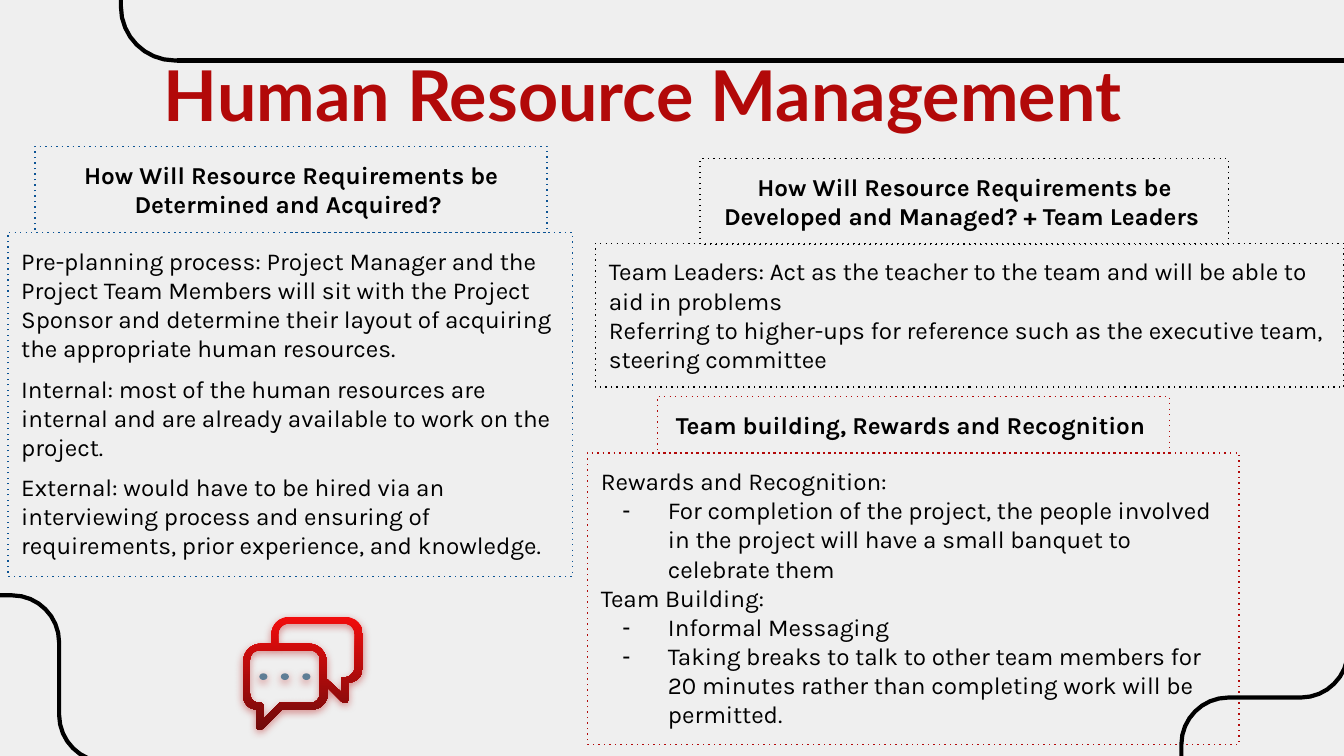
from lxml import etree
from pptx import Presentation
from pptx.dml.color import RGBColor
from pptx.enum import shapes, text
from pptx.oxml import ns
from pptx.util import Inches, Pt

# Content
TITLE = "Human Resource Management"
BLACK, RED, BLUE = "000000", "B20909", "0B5394"
HEADINGS = [  # text, box, line colour
    ("How Will Resource Requirements be Developed and Managed? + Team Leaders ",
     (5.21, 1.18, 3.93, 0.64), BLACK),
    ("Team building, Rewards and Recognition ", (4.89, 2.95, 3.81, 0.42), RED),
    ("How Will Resource Requirements be Determined and Acquired? ",
     (0.26, 1.09, 3.81, 0.64), BLUE),
]
LEADERS = [
    "Team Leaders: Act as the teacher to the team and will be able to aid in problems",
    "Referring to higher-ups for reference such as the executive team, steering committee",
]
REWARDS = [  # a tuple holds the dashed items of the line above
    "Rewards and Recognition:",
    ("For completion of the project, the people involved in the project "
     "will have a small banquet to celebrate them",),
    "Team Building:",
    ("Informal Messaging",
     "Taking breaks to talk to other team members for 20 minutes rather than "
     "completing work will be permitted."),
]
ACQUIRING = [
    "Pre-planning process: Project Manager and the Project Team Members will sit with "
    "the Project Sponsor and determine their layout of acquiring the appropriate human resources.",
    "Internal: most of the human resources are internal and are already available "
    "to work on the project.",
    "External: would have to be hired via an interviewing process and ensuring of "
    "requirements, prior experience, and knowledge.",
]

# Outlines as corners: x, y, radius
FRAME_LINES = [
    [(10.03, 4.84, 0), (10.03, 5.19, 0.35), (8.79, 5.19, 0.35), (8.79, 5.66, 0)],
    [(0.9, -0.36, 0), (0.9, 0.45, 0.4), (1.36, 0.45, 0)],
    [(-0.03, 4.43, 0), (0.44, 4.43, 0.35), (0.44, 5.67, 0.35), (0.78, 5.67, 0)],
]
BUBBLES = [
    [(2.02, 4.59, 0.13), (2.7, 4.59, 0.13), (2.7, 5.08, 0.11), (2.59, 5.08, 0),
     (2.59, 5.23, 0.02), (2.55, 5.23, 0.02), (2.44, 5.12, 0), (2.44, 5.28, 0.12),
     (2.1, 5.28, 0), (1.95, 5.43, 0.02), (1.91, 5.43, 0.02), (1.91, 5.28, 0),
     (1.81, 5.28, 0.1), (1.81, 4.79, 0.13), (2.02, 4.79, 0)],
    [(2.07, 4.64, 0.08), (2.64, 4.64, 0.08), (2.64, 5.04, 0.08), (2.54, 5.04, 0.01),
     (2.54, 5.15, 0), (2.43, 5.05, 0), (2.43, 4.79, 0.13), (2.07, 4.79, 0)],
    [(1.86, 4.84, 0.07), (2.38, 4.84, 0.07), (2.38, 5.23, 0.07), (2.08, 5.23, 0),
     (1.96, 5.35, 0), (1.96, 5.23, 0.02), (1.86, 5.23, 0.07)],
]


def rgb(value):
    return RGBColor.from_string(value)


def add_xml(parent, tag, **attrs):
    return etree.SubElement(parent, ns.qn(tag), attrs)


def place(sp, box):
    sp.left, sp.top, sp.width, sp.height = (Inches(v) for v in box)


def dotted(sp, color):
    sp.fill.background()
    sp.line.width = Pt(0.75)
    sp.line.color.rgb = rgb(color)
    add_xml(sp._element.spPr.find(ns.qn("a:ln")), "a:prstDash", val="dot")


def write(sp, lines, size=13, font="Karla", color=BLACK, bold=False,
          align=text.PP_ALIGN.LEFT, anchor=text.MSO_ANCHOR.TOP, gap=0):
    tf = sp.text_frame
    tf.word_wrap, tf.auto_size = True, text.MSO_AUTO_SIZE.NONE
    tf.vertical_anchor = anchor
    tf.margin_left = tf.margin_right = tf.margin_top = tf.margin_bottom = Inches(0.1)
    items = [(t, isinstance(line, tuple)) for line in lines
             for t in (line if isinstance(line, tuple) else (line,))]
    for i, (words, dashed) in enumerate(items):
        p = tf.add_paragraph() if i else tf.paragraphs[0]
        p.alignment = align
        p.space_before, p.space_after = Pt(gap if i else 0), Pt(0)
        pPr = p._p.get_or_add_pPr()
        pPr.set("marL", str(Inches(0.5 if dashed else 0)))
        pPr.set("indent", str(Inches(-0.34 if dashed else 0)))
        if dashed:
            add_xml(pPr, "a:buChar", char="-")
        else:
            add_xml(pPr, "a:buNone")
        r = p.add_run()
        r.text = words
        r.font.size, r.font.name, r.font.bold = Pt(size), font, bold
        r.font.color.rgb = rgb(color)


def rounded(corners, steps=8):
    """Points along the outline, each corner turned into a curve."""
    points = []
    for i, (x, y, radius) in enumerate(corners):
        if not radius:
            points.append((x, y))
            continue
        ends = []
        for nx, ny, _ in (corners[i - 1], corners[(i + 1) % len(corners)]):
            length = ((nx - x) ** 2 + (ny - y) ** 2) ** 0.5
            ends.append(((nx - x) * radius / length, (ny - y) * radius / length))
        (ax, ay), (bx, by) = ends
        for t in (n / steps for n in range(steps + 1)):
            # cubic curve whose handles reach 55% of the way to the corner
            a = (1 - t) ** 3 + 1.35 * t * (1 - t) ** 2
            b = t ** 3 + 1.35 * t ** 2 * (1 - t)
            points.append((x + a * ax + b * bx, y + a * ay + b * by))
    return [(Inches(px), Inches(py)) for px, py in points]


def outline(s, contours, close):
    first, *rest = [rounded(c) for c in contours]
    builder = s.shapes.build_freeform(*first[0])
    builder.add_line_segments(first[1:], close=close)
    for points in rest:
        builder.move_to(*points[0])
        builder.add_line_segments(points[1:], close=close)
    sp = builder.convert_to_shape()
    sp.shadow.inherit = False
    return sp


def glow(sp):
    sp.line.fill.background()
    sp.shadow.inherit = False
    effects = sp._element.spPr.find(ns.qn("a:effectLst"))
    shadow = add_xml(effects, "a:outerShdw", blurRad=str(Pt(4.5)), dist=str(Pt(1.5)),
                     dir="5400000", algn="bl", rotWithShape="0")
    add_xml(add_xml(shadow, "a:srgbClr", val=RED), "a:alpha", val="50000")


def main():
    prs = Presentation()
    prs.slide_width, prs.slide_height = Inches(10), Inches(10) * 9 // 16
    s = prs.slides.add_slide(prs.slide_layouts[3])
    s.background.fill.solid()
    s.background.fill.fore_color.rgb = rgb("EFEFEF")

    # Frame lines
    top = s.shapes.add_connector(shapes.MSO_CONNECTOR.STRAIGHT,
                                 Inches(1.32), Inches(0.45), Inches(10.01), Inches(0.45))
    add_xml(top._element.spPr, "a:effectLst")
    curves = [outline(s, [corners], close=False) for corners in FRAME_LINES]
    for curve in curves:
        curve.fill.background()
    for sp in [top, *curves]:
        sp.line.color.rgb = rgb(BLACK)
        sp.line.width = Pt(2.25)

    # Title and lists
    title, leaders, rewards = s.placeholders
    place(title, (0.48, 0.06, 8.61, 1.27))
    write(title, [TITLE], size=37.5, font="Lato", color=RED, bold=True,
          align=text.PP_ALIGN.CENTER, anchor=text.MSO_ANCHOR.MIDDLE)
    for sp, lines, box, color in [(leaders, LEADERS, (4.43, 1.81, 5.57, 1.07), BLACK),
                                  (rewards, REWARDS, (4.37, 3.37, 4.85, 2.17), RED)]:
        place(sp, box)
        dotted(sp, color)
        write(sp, lines)

    # Headings and the left box
    boxes = [([words], box, color, dict(bold=True, align=text.PP_ALIGN.CENTER))
             for words, box, color in HEADINGS]
    boxes.append((ACQUIRING, (0.06, 1.73, 4.2, 2.56), BLUE, dict(gap=6)))
    for lines, box, color, style in boxes:
        sp = s.shapes.add_shape(shapes.MSO_SHAPE.RECTANGLE, *(Inches(v) for v in box))
        sp.shadow.inherit = False
        dotted(sp, color)
        write(sp, lines, **style)

    # Speech bubbles
    bubbles = outline(s, BUBBLES, close=True)
    bubbles.fill.gradient()
    bubbles.fill.gradient_angle = 270
    for stop, color in zip(bubbles.fill.gradient_stops, ("F10C0C", "700B0B")):
        stop.color.rgb = rgb(color)
    glow(bubbles)
    for i in range(3):
        dot = s.shapes.add_shape(shapes.MSO_SHAPE.OVAL, Inches(1.93 + 0.16 * i), Inches(5.01),
                                 Inches(0.06), Inches(0.05))
        dot.fill.solid()
        dot.fill.fore_color.rgb = rgb("5F7D95")
        glow(dot)

    prs.save("out.pptx")


if __name__ == "__main__":
    main()
